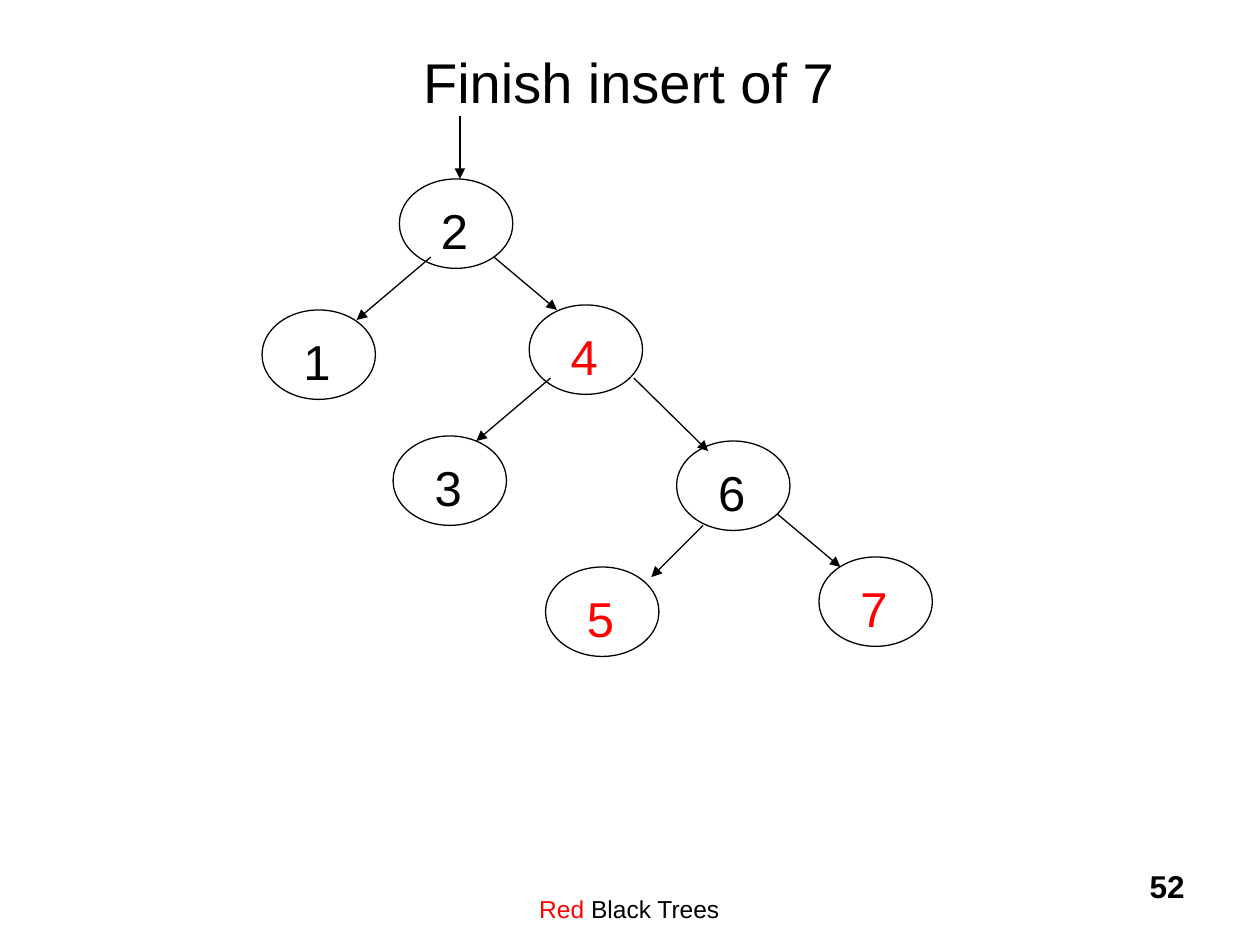
import pptx
import pptx.dml.color
import pptx.enum.shapes
import pptx.enum.text
import pptx.oxml
import pptx.oxml.ns
import pptx.util

Inches = pptx.util.Inches
Pt = pptx.util.Pt
ALIGN = pptx.enum.text.PP_ALIGN
COLORS = {"black": "000000", "red": "FF0000"}


def rgb(name):
    return pptx.dml.color.RGBColor.from_string(COLORS[name])


def style(paragraph, size, color="black"):
    paragraph.font.name = "Arial"
    paragraph.font.size = Pt(size)
    paragraph.font.color.rgb = rgb(color)


deck = pptx.Presentation()
deck.slide_width, deck.slide_height = Inches(10), Inches(7.5)
slide = deck.slides.add_slide(deck.slide_layouts[5])

title = slide.shapes.title
title.left, title.top = Inches(0.74), Inches(0.02)
title.width, title.height = Inches(8.5), Inches(1.25)
title.text_frame.text = "Finish insert of 7"
title.text_frame.vertical_anchor = pptx.enum.text.MSO_ANCHOR.MIDDLE
title.text_frame.paragraphs[0].alignment = ALIGN.CENTER
style(title.text_frame.paragraphs[0], 32)

footer = slide.shapes.add_textbox(Inches(3.08), Inches(6.83), Inches(3.83), Inches(0.5))
footer.text_frame.word_wrap = True
footer.text_frame.margin_top = Inches(0.3)
footer.text_frame.margin_bottom = 0
footer_line = footer.text_frame.paragraphs[0]
footer_line.alignment = ALIGN.CENTER
style(footer_line, 14)
for words, color in [("Red", "red"), (" Black Trees", "black")]:
    run = footer_line.add_run()
    run.text = words
    run.font.color.rgb = rgb(color)

page_number = slide.shapes.add_textbox(Inches(7.42), Inches(6.83), Inches(2.08), Inches(0.5))
page_number.text_frame.word_wrap = True
page_number.text_frame.text = "52"
page_line = page_number.text_frame.paragraphs[0]
page_line.alignment = ALIGN.RIGHT
page_line.font.bold = True
style(page_line, 18)

nodes = [
    ("2", 3.17, 1.42, "black"),
    ("1", 2.08, 2.46, "black"),
    ("4", 4.2, 2.42, "red"),
    ("3", 3.12, 3.46, "black"),
    ("6", 5.37, 3.5, "black"),
    ("5", 4.33, 4.5, "red"),
    ("7", 6.5, 4.42, "red"),
]
for key, left, top, color in nodes:
    node = slide.shapes.add_group_shape()
    ring = node.shapes.add_shape(
        pptx.enum.shapes.MSO_SHAPE.OVAL, Inches(left), Inches(top), Inches(0.9), Inches(0.71)
    )
    ring.shadow.inherit = False
    ring.fill.background()
    ring.line.color.rgb = rgb("black")
    ring.line.width = Pt(0.75)
    label = node.shapes.add_textbox(
        Inches(left + 0.23), Inches(top + 0.08), Inches(0.42), Inches(0.57)
    )
    label.text_frame.word_wrap = False
    label.text_frame.margin_top = Inches(0.09)
    label.text_frame.margin_bottom = 0
    label.text_frame.text = key
    style(label.text_frame.paragraphs[0], 28, color)

links = [
    (3.65, 0.92, 3.65, 1.42),
    (3.42, 2.04, 2.83, 2.54),
    (3.92, 2.04, 4.42, 2.46),
    (4.37, 3, 3.78, 3.5),
    (5.03, 3, 5.62, 3.58),
    (5.58, 4.17, 5.17, 4.58),
    (6.17, 4.08, 6.67, 4.5),
]
for ends in links:
    arrow = slide.shapes.add_connector(
        pptx.enum.shapes.MSO_CONNECTOR.STRAIGHT, *[Inches(end) for end in ends]
    )
    arrow.line.color.rgb = rgb("black")
    arrow.line.width = Pt(0.75)
    head = pptx.oxml.parse_xml(
        f'<a:tailEnd {pptx.oxml.ns.nsdecls("a")} type="triangle"/>'
    )
    arrow.line._get_or_add_ln().append(head)
    no_shadow = pptx.oxml.parse_xml(f'<a:effectLst {pptx.oxml.ns.nsdecls("a")}/>')
    arrow._element.spPr.append(no_shadow)

deck.save("out.pptx")
